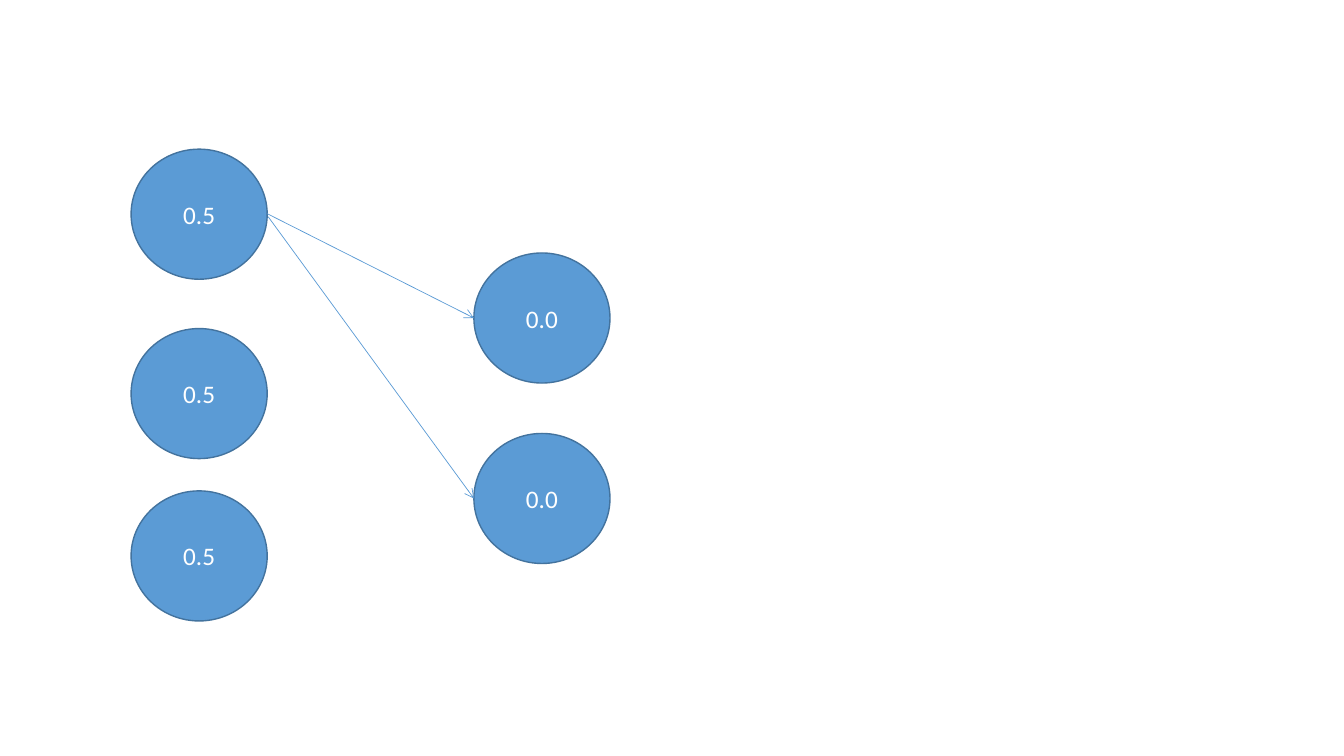
from lxml import etree
from pptx import Presentation
from pptx.dml.color import RGBColor
from pptx.enum import shapes as kinds, text as txt
from pptx.oxml import ns
from pptx.util import Inches, Pt

BLUE = RGBColor(0x5B, 0x9B, 0xD5)
EDGE = RGBColor(0x43, 0x73, 0x9E)
WHITE = RGBColor(0xFF, 0xFF, 0xFF)

WIDE, HIGH = 1.35, 1.29
IN_X, OUT_X = 1.3, 4.7
IN_TOPS = (1.48, 3.26, 4.87)
OUT_TOPS = (2.51, 4.3)


def write(frame, label, size=18, color=WHITE, font="Calibri"):
    frame.vertical_anchor = txt.MSO_ANCHOR.MIDDLE
    para = frame.paragraphs[0]
    para.alignment = txt.PP_ALIGN.CENTER
    run = para.add_run()
    run.text = label
    run.font.size = Pt(size)
    run.font.name = font
    run.font.color.rgb = color


def node(slide, left, top, label):
    oval = slide.shapes.add_shape(
        kinds.MSO_SHAPE.OVAL,
        Inches(left), Inches(top), Inches(WIDE), Inches(HIGH))
    oval.shadow.inherit = False
    oval.fill.solid()
    oval.fill.fore_color.rgb = BLUE
    oval.line.color.rgb = EDGE
    oval.line.width = Pt(1)
    write(oval.text_frame, label)


def arrow(slide, start, end):
    link = slide.shapes.add_connector(
        kinds.MSO_CONNECTOR.STRAIGHT, *map(Inches, start + end))
    link.line.color.rgb = BLUE
    link.line.width = Pt(0.5)
    etree.SubElement(link.line._get_or_add_ln(), ns.qn("a:tailEnd"),
                     type="arrow")
    etree.SubElement(link._element.spPr, ns.qn("a:effectLst"))


def main():
    deck = Presentation()
    deck.slide_width, deck.slide_height = Inches(13.33), Inches(7.5)
    slide = deck.slides.add_slide(deck.slide_layouts[6])
    for top in IN_TOPS:
        node(slide, IN_X, top, "0.5")
    for top in OUT_TOPS:
        node(slide, OUT_X, top, "0.0")
    starts = ((2.65, 2.12), (2.66, 2.15))
    for start, top in zip(starts, OUT_TOPS):
        arrow(slide, start, (OUT_X, top + HIGH / 2))
    deck.save("out.pptx")


if __name__ == "__main__":
    main()
